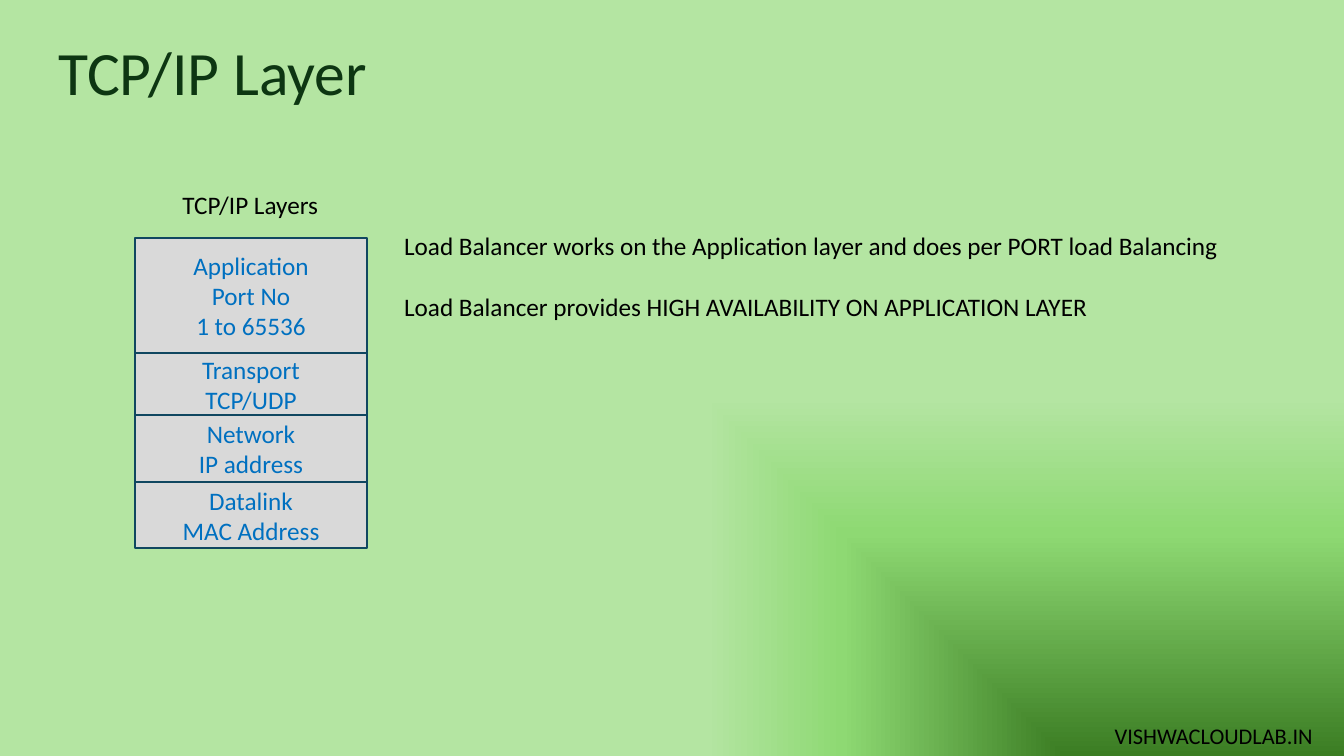
"""Build the TCP/IP layer slide with its layer stack and load balancer notes."""
import pptx
import pptx.dml.color
import pptx.enum.shapes
import pptx.enum.text
import pptx.oxml
import pptx.oxml.ns
import pptx.util

SLIDE_WIDTH = pptx.util.Inches(13.33)
SLIDE_HEIGHT = pptx.util.Inches(7.5)
FONT = "Calibri"
BLACK = "000000"
GRADIENT_STOPS = [(0, "F0F8FD"), (0, "3B7D23"), (59, "8ED973"), (95, "B4E5A2")]
STACK_LEFT, STACK_TOP, STACK_WIDTH = 10.05, 31.47, 17.25
LAYERS = [
    (15.2, ["Application", "Port No", "1 to 65536"]),
    (8.27, ["Transport", "TCP/UDP"]),
    (8.8, ["Network", "IP address"]),
    (8.8, ["Datalink", "MAC Address"]),
]
NOTES = [
    "Load Balancer works on the Application layer and does per PORT load Balancing",
    "Load Balancer provides HIGH AVAILABILITY ON APPLICATION LAYER",
]


def color(hex_string):
    """Return the colour for a hex string."""
    return pptx.dml.color.RGBColor.from_string(hex_string)


def place(left, top, width, height):
    """Turn percentages of the slide's size into lengths."""
    return (
        int(SLIDE_WIDTH * left / 100),
        int(SLIDE_HEIGHT * top / 100),
        int(SLIDE_WIDTH * width / 100),
        int(SLIDE_HEIGHT * height / 100),
    )


def paint_background(slide):
    """Fill the background with a gradient from the bottom right corner."""
    slide.background.fill.gradient()
    gradient = slide.element.find(".//" + pptx.oxml.ns.qn("a:gradFill"))
    stops = "".join(
        f'<a:gs pos="{percent * 1000}"><a:srgbClr val="{shade}"/></a:gs>'
        for percent, shade in GRADIENT_STOPS
    )
    replacement = pptx.oxml.parse_xml(
        f'<a:gradFill {pptx.oxml.ns.nsdecls("a")} rotWithShape="1">'
        f"<a:gsLst>{stops}</a:gsLst>"
        '<a:path path="rect"><a:fillToRect l="100000" t="100000"/></a:path>'
        '<a:tileRect r="-100000" b="-100000"/></a:gradFill>'
    )
    gradient.getparent().replace(gradient, replacement)


def write_text(shape, lines, size, font_color):
    """Write lines as paragraphs and format them."""
    shape.text_frame.text = "\n".join(lines)
    for paragraph in shape.text_frame.paragraphs:
        for run in paragraph.runs:
            run.font.name = FONT
            run.font.size = pptx.util.Pt(size)
            run.font.color.rgb = color(font_color)


def add_label(slide, area, lines, size, font_color=BLACK, wrap=True):
    """Add a text box and return its text frame."""
    box = slide.shapes.add_textbox(*place(*area))
    box.text_frame.word_wrap = wrap
    write_text(box, lines, size, font_color)
    return box.text_frame


def add_layer(slide, top, height, lines):
    """Add one box of the layer stack."""
    box = slide.shapes.add_shape(
        pptx.enum.shapes.MSO_SHAPE.RECTANGLE,
        *place(STACK_LEFT, top, STACK_WIDTH, height),
    )
    box.shadow.inherit = False
    box.fill.solid()
    box.fill.fore_color.rgb = color("D9D9D9")
    box.line.color.rgb = color("104760")
    box.line.width = pptx.util.Pt(1.5)
    write_text(box, lines, 18, "0070C0")
    box.text_frame.vertical_anchor = pptx.enum.text.MSO_ANCHOR.MIDDLE
    for paragraph in box.text_frame.paragraphs:
        paragraph.alignment = pptx.enum.text.PP_ALIGN.CENTER


def main():
    """Build and save the presentation."""
    presentation = pptx.Presentation()
    presentation.slide_width = SLIDE_WIDTH
    presentation.slide_height = SLIDE_HEIGHT
    slide = presentation.slides.add_slide(presentation.slide_layouts[6])
    paint_background(slide)

    add_label(slide, (82.2, 94.8, 17.63, 4.93), ["VISHWACLOUDLAB.IN"], 16)
    title = add_label(slide, (3.6, 3.73, 86.25, 12.4), ["TCP/IP Layer"], 44, "0D3612")
    title.vertical_anchor = pptx.enum.text.MSO_ANCHOR.MIDDLE
    title.paragraphs[0].line_spacing = 0.9

    top = STACK_TOP
    for height, lines in LAYERS:
        add_layer(slide, top, height, lines)
        top += height

    add_label(slide, (12.83, 24.4, 11.7, 5.33), ["TCP/IP Layers"], 18, wrap=False)
    notes = add_label(slide, (29.33, 29.87, 62.78, 13.47), NOTES, 18, wrap=False)
    notes.paragraphs[1].space_before = pptx.util.Pt(22)

    presentation.save("out.pptx")


if __name__ == "__main__":
    main()
